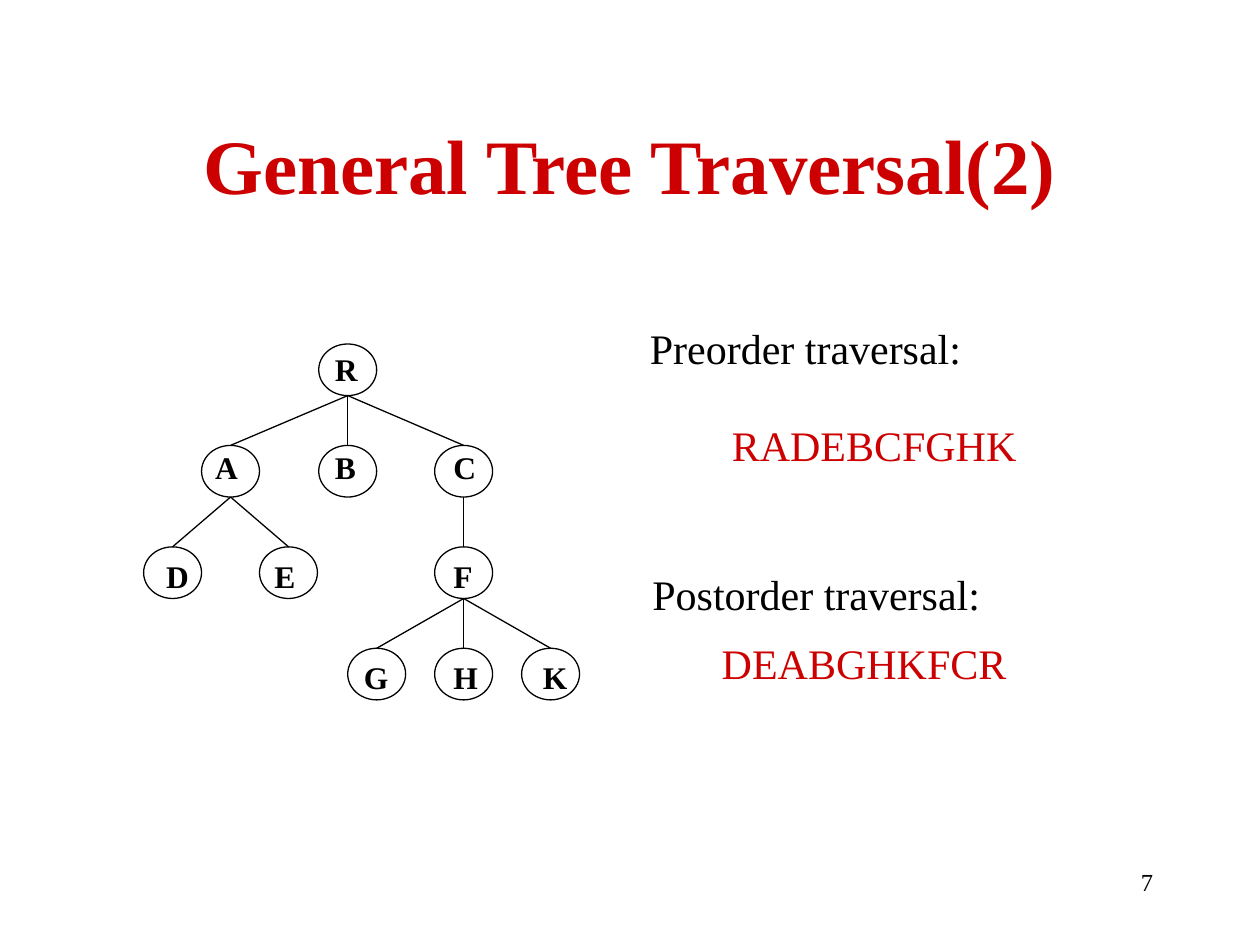
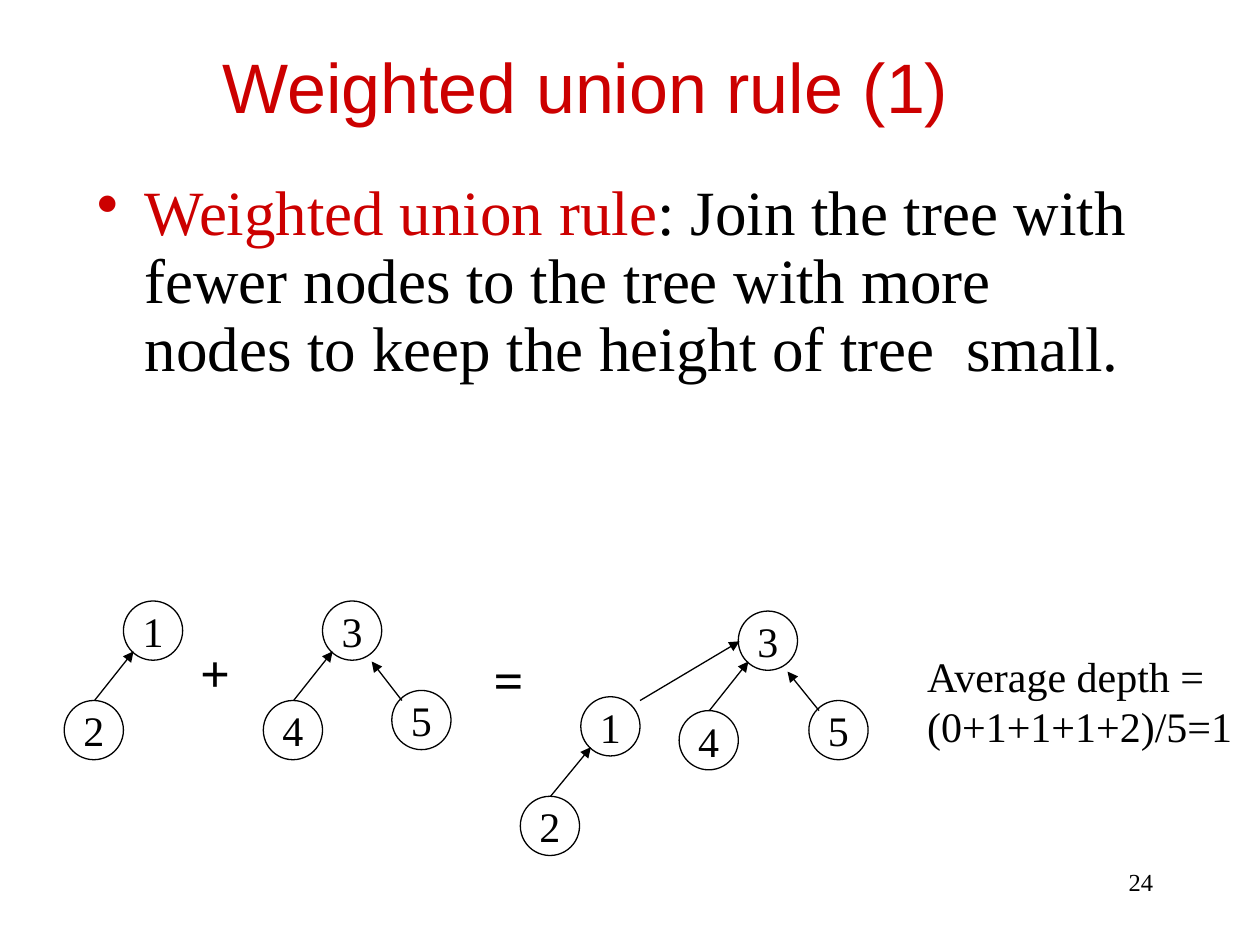
from lxml import etree
from pptx import Presentation
from pptx.dml.color import RGBColor
from pptx.enum.shapes import MSO_CONNECTOR, MSO_SHAPE
from pptx.enum.text import MSO_ANCHOR, MSO_AUTO_SIZE, PP_ALIGN
from pptx.oxml.ns import qn
from pptx.util import Inches, Pt

STRAIGHT = MSO_CONNECTOR.STRAIGHT
OVAL = MSO_SHAPE.OVAL
TOP, MIDDLE = MSO_ANCHOR.TOP, MSO_ANCHOR.MIDDLE
LEFT, CENTER, RIGHT = PP_ALIGN.LEFT, PP_ALIGN.CENTER, PP_ALIGN.RIGHT
FIT = MSO_AUTO_SIZE.SHAPE_TO_FIT_TEXT

COLORS = {"accent": "CC0000", "ink": "000000", "paper": "FFFFFF"}
SERIF, SANS = "Times New Roman", "Arial"
PAGE_BOX = (7.17, 6.83, 2.08, 0.5)

TRAVERSAL = {
    "title": "General Tree Traversal(2)",
    "page": "7",
    "notes": [
        ("Preorder traversal:", (5.06, 2.51, 2.67, 0.5), "ink"),
        ("RADEBCFGHK", (5.71, 3.28, 2.46, 0.5), "accent"),
        ("Postorder traversal:", (5.08, 4.46, 2.8, 0.5), "ink"),
        ("DEABGHKFCR", (5.63, 5.01, 2.46, 0.5), "accent"),
    ],
}
TREE_TOP, LEVEL_STEP = 2.73, 0.805
NODE_W, NODE_H = 0.46, 0.41
LABEL_TOPS = [2.73, 3.51, 4.37, 5.17]
# letter: (parent, level, node left, label left)
TREE = {
    "R": (None, 0, 2.53, 2.56),
    "A": ("R", 1, 1.6, 1.61),
    "B": ("R", 1, 2.53, 2.56),
    "C": ("R", 1, 3.45, 3.5),
    "D": ("A", 2, 1.14, 1.22),
    "E": ("A", 2, 2.06, 2.08),
    "F": ("C", 2, 3.45, 3.5),
    "G": ("F", 3, 2.76, 2.79),
    "H": ("F", 3, 3.45, 3.5),
    "K": ("F", 3, 4.14, 4.21),
}

UNION = {
    "title": "Weighted union rule (1)",
    "page": "24",
    "term": "Weighted union rule",
    "rule": ": Join the tree with fewer nodes to the tree with more nodes "
            "to keep the height of tree  small.",
    "depth": ["Average depth =", "(0+1+1+1+2)/5=1"],
    "operators": [("+", 1.49, 5.03), ("=", 3.82, 5.09)],
}
CIRCLE = 0.47
FORESTS = [
    {"nodes": {"1": (0.98, 4.77), "2": (0.51, 5.56)},
     "links": [("2", "1", "from left")]},
    {"nodes": {"3": (2.56, 4.77), "4": (2.09, 5.56), "5": (3.11, 5.48)},
     "links": [("4", "3", "from left"), ("5", "3", "from right")]},
    {"nodes": {"3": (5.86, 4.85), "4": (5.39, 5.64), "5": (6.42, 5.56),
               "1": (4.61, 5.53), "2": (4.13, 6.32)},
     "links": [("4", "3", "from left"), ("5", "3", "from right"),
               ("2", "1", "from left"), ("1", "3", "from side")]},
]
LINK_OFFSETS = {
    "from left": ((0.24, 0), (0.08, 0.4)),
    "from right": ((0.08, 0.08), (0.39, 0.48)),
    "from side": ((0.47, 0.03), (0.01, 0.24)),
}


def color(name):
    return RGBColor.from_string(COLORS[name])


def style(font, size, ink="ink", bold=False, face=SERIF):
    font.name, font.size, font.bold = face, Pt(size), bold
    font.color.rgb = color(ink)


def add_text(slide, box, lines, size, ink="ink", bold=False, face=SERIF,
             align=LEFT, anchor=TOP, wrap=False):
    frame = slide.shapes.add_textbox(*map(Inches, box)).text_frame
    frame.word_wrap = wrap
    frame.vertical_anchor = anchor
    if not wrap:
        frame.auto_size = FIT
    frame.text = "\n".join(lines)
    for paragraph in frame.paragraphs:
        paragraph.alignment = align
        style(paragraph.font, size, ink, bold, face)
    return frame


def add_node(slide, box, fill=None):
    node = slide.shapes.add_shape(OVAL, *map(Inches, box))
    node.shadow.inherit = False
    if fill:
        node.fill.solid()
        node.fill.fore_color.rgb = color(fill)
    else:
        node.fill.background()
    node.line.color.rgb = color("ink")
    node.line.width = Pt(0.75)
    return node


def add_link(slide, start, end, arrow=False):
    link = slide.shapes.add_connector(STRAIGHT, *map(Inches, start + end))
    link.line.color.rgb = color("ink")
    link.line.width = Pt(0.75)
    properties = link._element.spPr
    etree.SubElement(properties, qn("a:effectLst"))
    if arrow:
        etree.SubElement(properties.find(qn("a:ln")), qn("a:tailEnd"), type="triangle")


def start_slide(deck, content, title_box, title_size, face, bold):
    slide = deck.slides.add_slide(deck.slide_layouts[6])
    add_text(slide, title_box, [content["title"]], title_size, "accent", bold,
             face, CENTER, MIDDLE, wrap=True)
    add_text(slide, PAGE_BOX, [content["page"]], 14, align=RIGHT, wrap=True)
    return slide


def build_traversal(deck):
    slide = start_slide(deck, TRAVERSAL, (0.75, 0.67, 8.5, 1.25), 44, SERIF, True)
    for letter, (parent, level, left, label_left) in TREE.items():
        top = TREE_TOP + level * LEVEL_STEP
        add_node(slide, (left, top, NODE_W, NODE_H), "paper")
        if parent:
            parent_left = TREE[parent][2]
            parent_bottom = top - LEVEL_STEP + NODE_H
            add_link(slide, (parent_left + NODE_W / 2, parent_bottom),
                     (left + NODE_W / 2, top))
        add_text(slide, (label_left, LABEL_TOPS[level], 0.38, 0.4), [letter], 18, bold=True)
    for text, box, ink in TRAVERSAL["notes"]:
        add_text(slide, box, [text], 24, ink)


def add_rule(slide):
    frame = add_text(slide, (0.67, 1.39, 8.5, 4.5), [""], 36, wrap=True)
    paragraph = frame.paragraphs[0]
    paragraph.line_spacing = 0.9
    for text, ink in ((UNION["term"], "accent"), (UNION["rule"], "ink")):
        run = paragraph.add_run()
        run.text = text
        style(run.font, 36, ink)
    properties = paragraph._p.get_or_add_pPr()
    properties.set("marL", str(Inches(0.38)))
    properties.set("indent", str(-Inches(0.38)))
    bullet = etree.Element(qn("a:buChar"), char="•")
    properties.find(qn("a:defRPr")).addprevious(bullet)


def build_union(deck):
    slide = start_slide(deck, UNION, (0.75, 0.36, 7.79, 0.64), 40, SANS, False)
    add_rule(slide)
    for forest in FORESTS:
        nodes = forest["nodes"]
        for number, position in nodes.items():
            frame = add_node(slide, position + (CIRCLE, CIRCLE)).text_frame
            frame.word_wrap = False
            frame.vertical_anchor = MIDDLE
            frame.text = number
            frame.paragraphs[0].alignment = CENTER
            style(frame.paragraphs[0].font, 24)
        for child, parent, side in forest["links"]:
            start, end = (
                (nodes[number][0] + dx, nodes[number][1] + dy)
                for number, (dx, dy) in zip((child, parent), LINK_OFFSETS[side])
            )
            add_link(slide, start, end, arrow=True)
    for sign, left, top in UNION["operators"]:
        add_text(slide, (left, top, 0.44, 0.6), [sign], 30, bold=True)
    add_text(slide, (7.26, 5.11, 2.62, 0.9), UNION["depth"], 24)


def main():
    deck = Presentation()
    deck.slide_width, deck.slide_height = Inches(10), Inches(7.5)
    build_traversal(deck)
    build_union(deck)
    deck.save("out.pptx")


if __name__ == "__main__":
    main()
